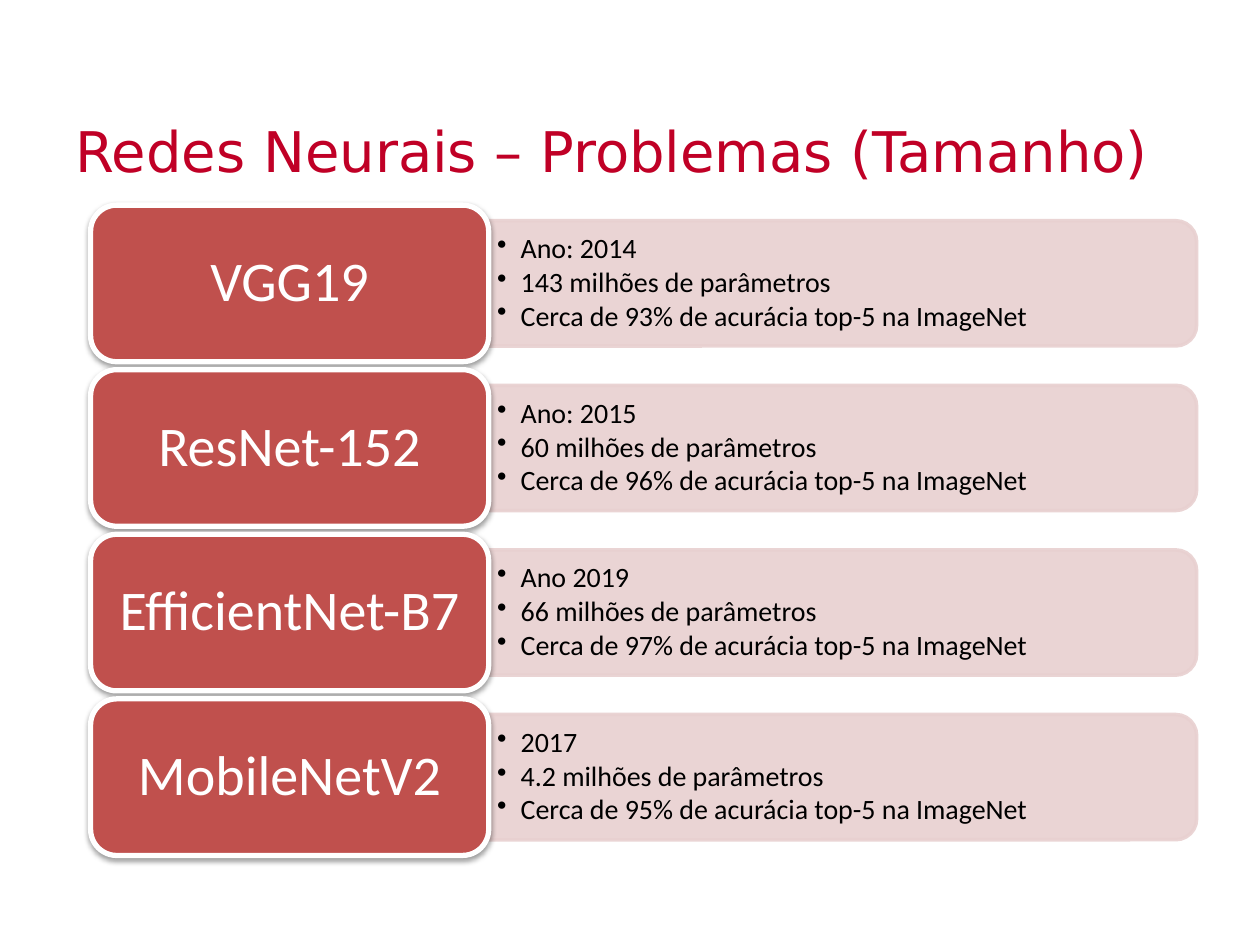
from lxml import etree
from pptx import Presentation
from pptx.dml.color import RGBColor
from pptx.enum import shapes, text
from pptx.oxml import ns
from pptx.util import Pt

CRIMSON = RGBColor(0xC0, 0x00, 0x26)
BRICK = RGBColor(0xC0, 0x50, 0x4D)
ROSE = RGBColor(0xE8, 0xD0, 0xD0)
WHITE = RGBColor(0xFF, 0xFF, 0xFF)
BLACK = RGBColor(0x00, 0x00, 0x00)

NETWORKS = [
    ("VGG19", "Ano: 2014", "143", "93"),
    ("ResNet-152", "Ano: 2015", "60", "96"),
    ("EfficientNet-B7", "Ano 2019", "66", "97"),
    ("MobileNetV2", "2017", "4.2", "95"),
]
ROW_TOP, ROW_PITCH = 117.2, 94.05
NAME_LEFT, NAME_WIDTH, NAME_HEIGHT = 51.8, 227.5, 89.5
BAR_LEFT, BAR_LENGTH, BAR_HEIGHT = NAME_LEFT + NAME_WIDTH, 404.5, 71.6


def write(shape, lines, *, size, color, font="Calibri", align=text.PP_ALIGN.LEFT,
          margins=(7.2, 3.6), spacing=1.0, after=0, bullet_indent=None):
    """Fill the shape with one paragraph per line; margins are (sides, top and bottom)."""
    frame = shape.text_frame
    frame.word_wrap = True
    frame.vertical_anchor = text.MSO_ANCHOR.MIDDLE
    frame.margin_left = frame.margin_right = Pt(margins[0])
    frame.margin_top = frame.margin_bottom = Pt(margins[1])
    for number, line in enumerate(lines):
        paragraph = frame.add_paragraph() if number else frame.paragraphs[0]
        paragraph.alignment = align
        paragraph.line_spacing = spacing
        paragraph.space_after = Pt(after)
        if bullet_indent:
            properties = paragraph._p.get_or_add_pPr()
            properties.set("marL", str(Pt(bullet_indent)))
            properties.set("indent", str(Pt(-bullet_indent)))
            etree.SubElement(properties, ns.qn("a:buChar"), char="•")
        run = paragraph.add_run()
        run.text = line
        run.font.name, run.font.size, run.font.color.rgb = font, Pt(size), color


prs = Presentation()
prs.slide_width, prs.slide_height = Pt(720), Pt(540)
slide = prs.slides.add_slide(prs.slide_layouts[6])

title = slide.shapes.add_textbox(Pt(36), Pt(61.2), Pt(648), Pt(49))
write(title, ["Redes Neurais – Problemas (Tamanho)"], size=32, color=CRIMSON, font="DejaVu Sans")

for row, (network, year, millions, accuracy) in enumerate(NETWORKS):
    top = ROW_TOP + row * ROW_PITCH
    middle = top + NAME_HEIGHT / 2

    # The bar is an upright shape turned a quarter, so its rounded end faces right.
    bar = slide.shapes.add_shape(
        shapes.MSO_SHAPE.ROUND_2_SAME_RECTANGLE,
        Pt(BAR_LEFT + (BAR_LENGTH - BAR_HEIGHT) / 2), Pt(middle - BAR_LENGTH / 2),
        Pt(BAR_HEIGHT), Pt(BAR_LENGTH))
    bar.rotation = 90
    bar.shadow.inherit = False
    bar.fill.solid()
    bar.fill.fore_color.rgb = ROSE
    bar.line.color.rgb = ROSE
    bar.line.width = Pt(2)
    for color in bar._element.spPr.iter(ns.qn("a:srgbClr")):
        etree.SubElement(color, ns.qn("a:alpha"), val="90000")

    facts = slide.shapes.add_textbox(Pt(BAR_LEFT), Pt(middle - 32.4), Pt(401), Pt(64.8))
    write(facts, [year, f"{millions} milhões de parâmetros",
                  f"Cerca de {accuracy}% de acurácia top-5 na ImageNet"],
          size=16, color=BLACK, margins=(4.8, 2.4), spacing=0.9, after=2, bullet_indent=13.5)

    name = slide.shapes.add_shape(shapes.MSO_SHAPE.ROUNDED_RECTANGLE, Pt(NAME_LEFT), Pt(top),
                                  Pt(NAME_WIDTH), Pt(NAME_HEIGHT))
    name.fill.solid()
    name.fill.fore_color.rgb = BRICK
    name.line.color.rgb = WHITE
    name.line.width = Pt(3)
    name.shadow.inherit = False
    effects = name._element.spPr.find(ns.qn("a:effectLst"))
    shadow = etree.SubElement(effects, ns.qn("a:outerShdw"), blurRad=str(Pt(3.1)),
                              dist=str(Pt(1.6)), dir="5400000", rotWithShape="0")
    shade = etree.SubElement(shadow, ns.qn("a:srgbClr"), val=str(BLACK))
    etree.SubElement(shade, ns.qn("a:alpha"), val="38000")
    write(name, [network], size=32, color=WHITE, align=text.PP_ALIGN.CENTER,
          margins=(9.4, 5), spacing=0.9)

prs.save("out.pptx")
